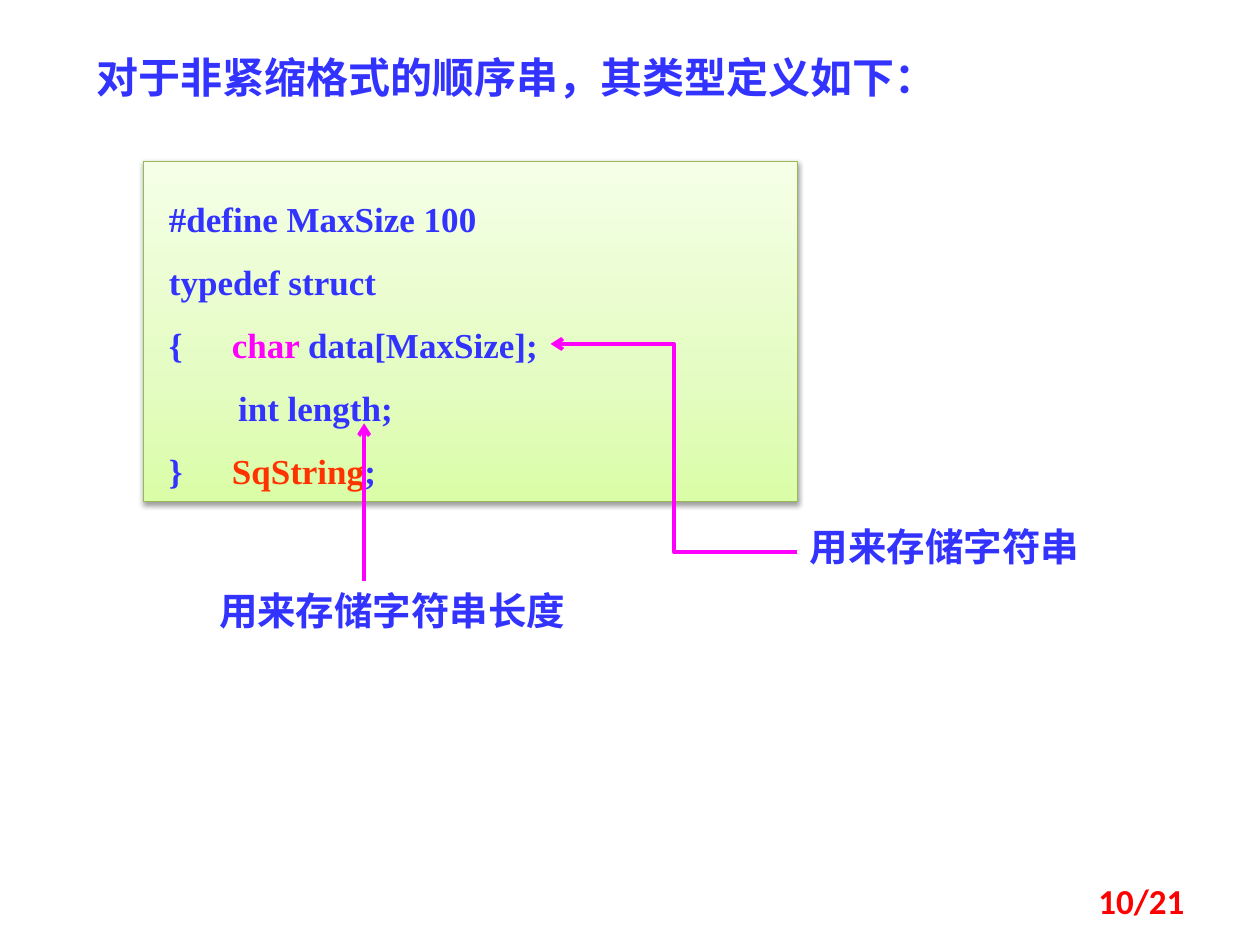
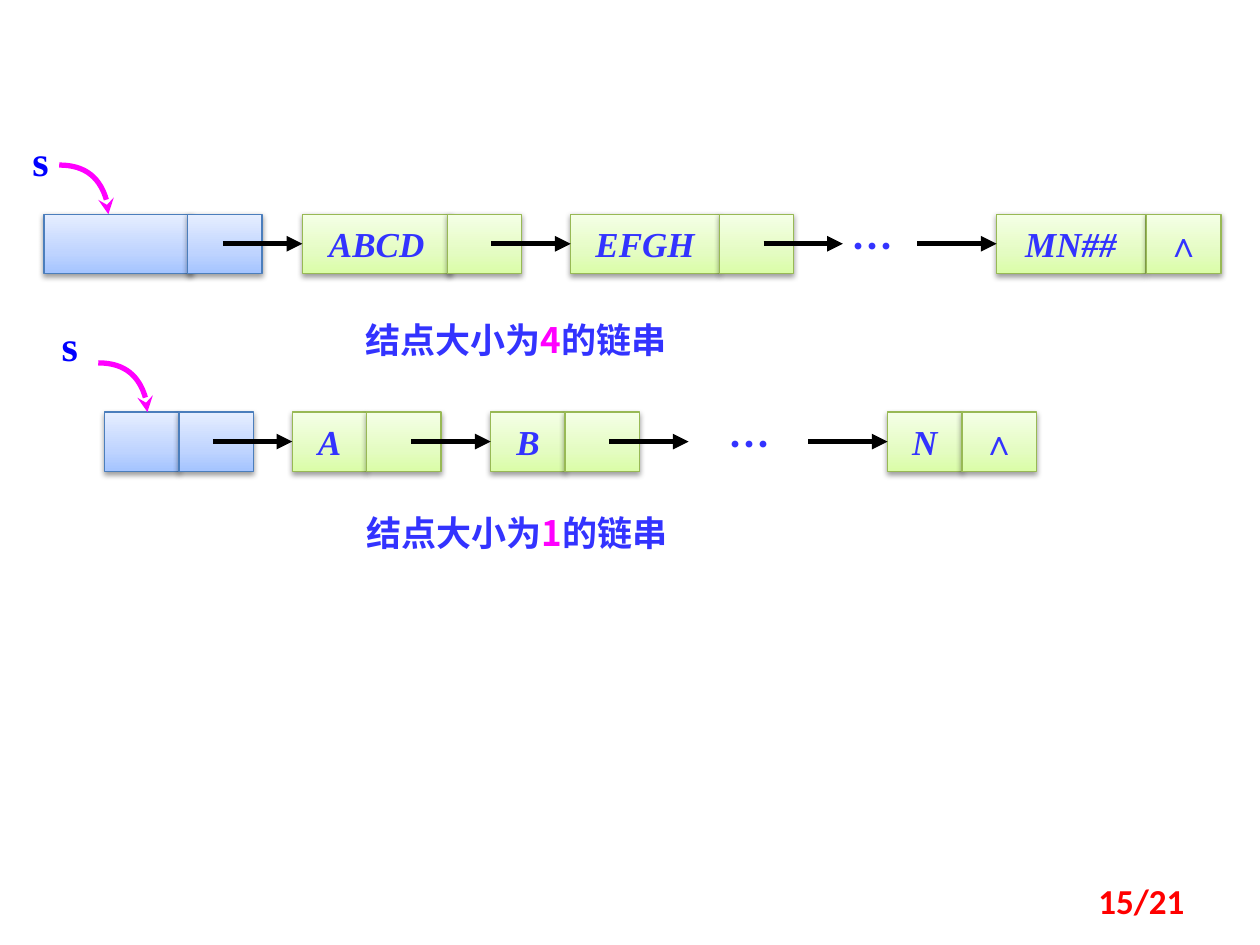
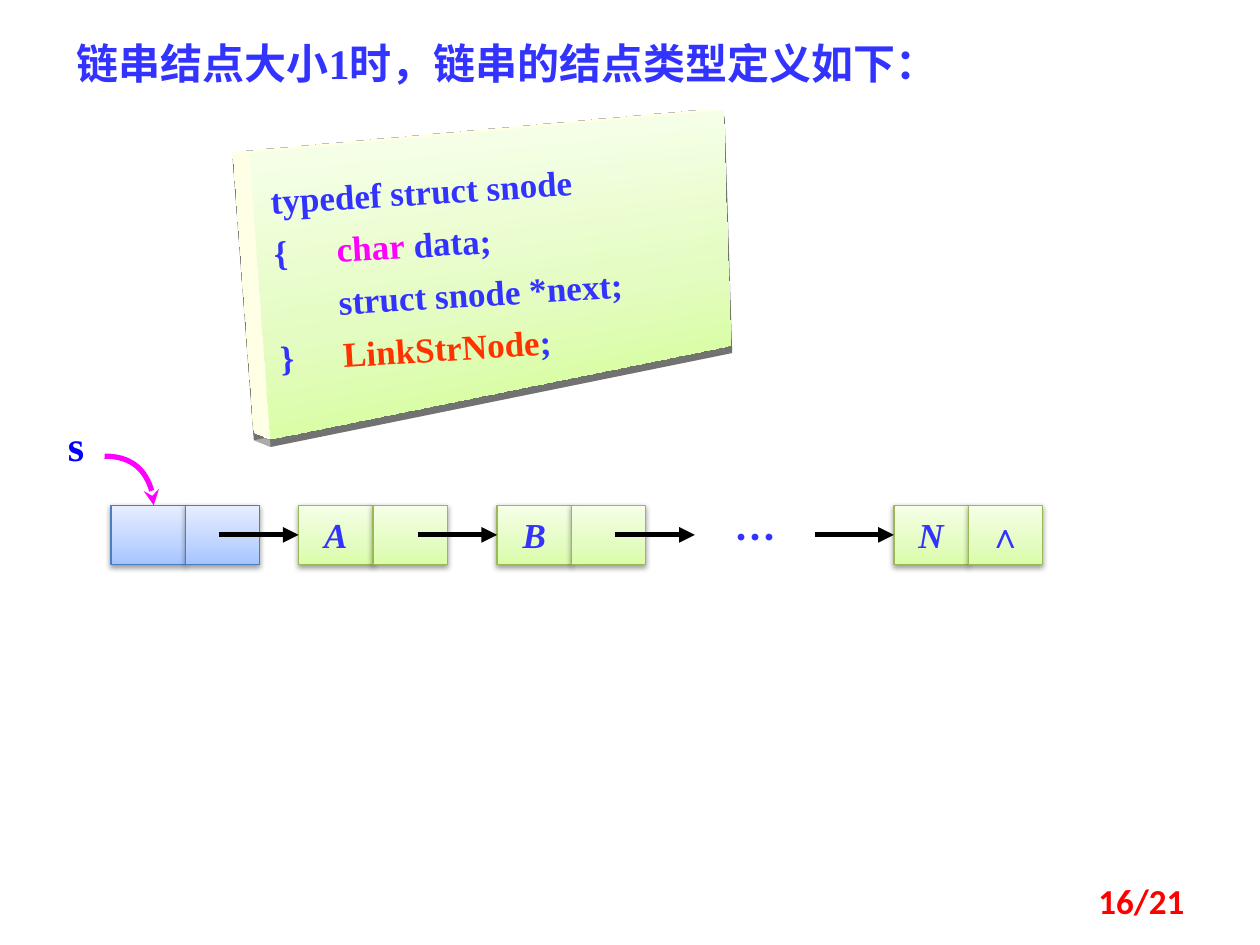
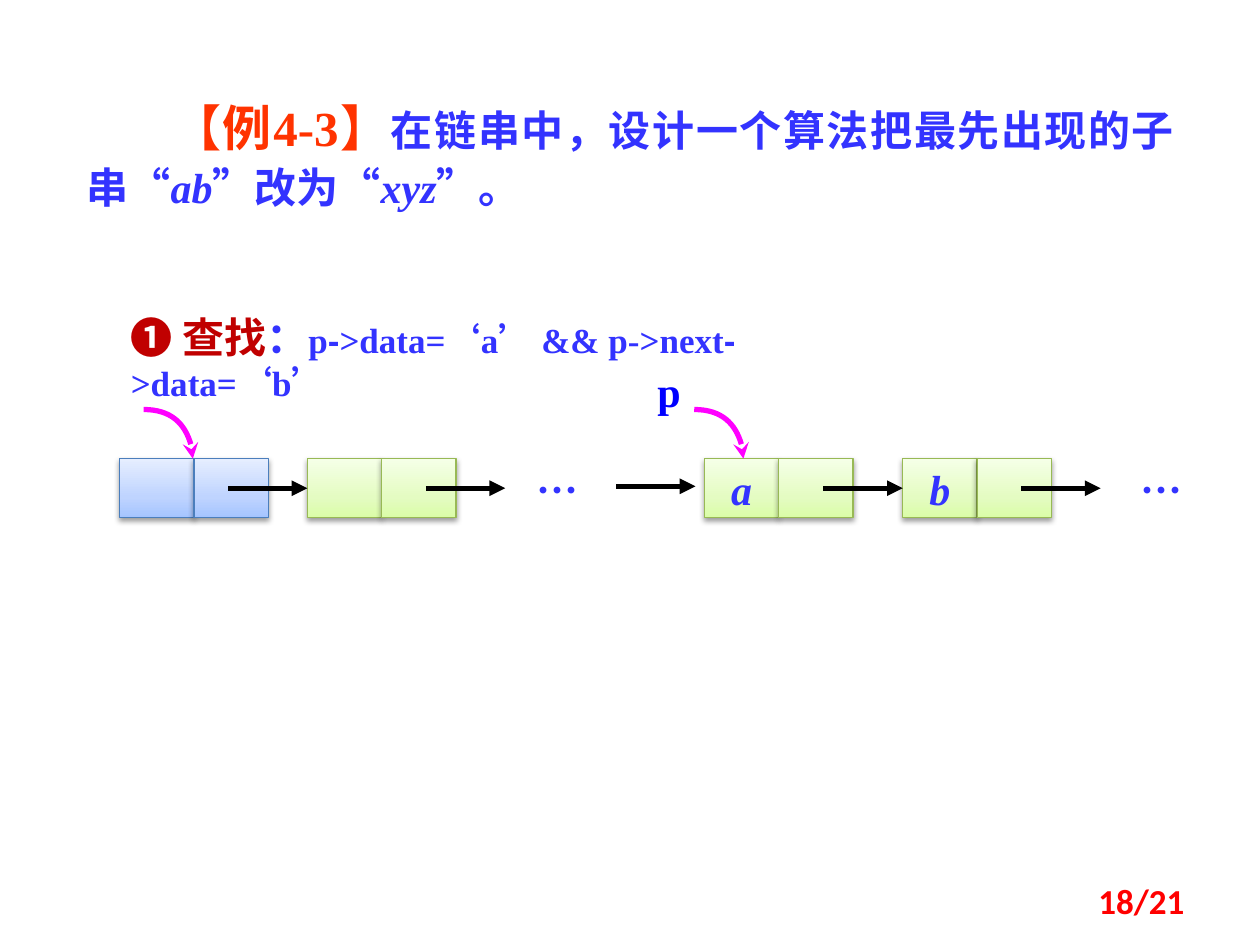
"""Builds four slides on sequential and linked strings."""
from dataclasses import dataclass
from typing import Optional, Sequence, Union

from pptx import Presentation, oxml, util as u
from pptx.dml.color import RGBColor
from pptx.enum import shapes, text
from pptx.oxml import ns

Inches = u.Inches


@dataclass(frozen=True)
class Theme:
    """Colours, fonts and type sizes of the deck."""
    ink: str = "3333FF"
    accent: str = "FF00FF"
    name: str = "FF3300"
    pointer: str = "0000FF"
    step: str = "C00000"
    page: str = "FF0000"
    arrow: str = "000000"
    green: tuple = ("DAFDA7", "E4FCC2", "F5FFE7")
    green_edge: str = "98B955"
    blue: tuple = ("A4C4FF", "BFD4FF", "E6EEFF")
    blue_edge: str = "4B7EBC"
    serif: str = "Times New Roman"
    cjk: str = "Noto Sans CJK SC"
    sans: str = "Arial"
    footer: str = "Calibri"
    body: int = 20
    note: int = 22
    title: int = 24
    example: int = 28


T = Theme()
ALIGN = text.PP_ALIGN
ANCHOR = text.MSO_ANCHOR
CELL_W, CELL_H = 0.59, 0.47
LINK, LINK_START = 0.63, 0.35
HEAD_STEP, NODE_STEP = 1.49, 1.575
HOOK = 0.39


@dataclass(frozen=True)
class Run:
    """A stretch of text in one style."""
    text: str
    color: str = T.ink
    size: int = T.body
    font: str = T.serif
    bold: bool = True
    italic: bool = False


@dataclass(frozen=True)
class Para:
    """A paragraph with its indents and one optional tab stop."""
    runs: Sequence[Run]
    align: Optional[ALIGN] = None
    spacing: Union[float, u.Length, None] = None
    left: float = 0
    first: float = 0
    tab: float = 0


@dataclass(frozen=True)
class Node:
    """A list node: a data cell followed by a link cell."""
    left: float
    data: str = ""
    link: str = ""
    width: float = CELL_W
    span: float = CELL_W
    head: bool = False
    linked: bool = True
    open_end: bool = False
    size: int = T.body


def drawing(tag: str, inner: str = "", attrs: str = ""):
    """Return a DrawingML element."""
    return oxml.parse_xml(f'<a:{tag} {ns.nsdecls("a")} {attrs}>{inner}</a:{tag}>')


def write(tf, paras: Sequence[Para]) -> None:
    """Fill a text frame with paragraphs, run by run."""
    for i, para in enumerate(paras):
        p = tf.paragraphs[0] if i == 0 else tf.add_paragraph()
        p.alignment = para.align or ALIGN.LEFT
        if para.spacing:
            p.line_spacing = para.spacing
        props = p._p.get_or_add_pPr()
        props.set("marL", str(Inches(para.left)))
        props.set("indent", str(Inches(para.first)))
        if para.tab:
            props.append(drawing("tabLst", f'<a:tab pos="{Inches(para.tab)}" algn="l"/>'))
        for run in para.runs:
            r = p.add_run()
            r.text = run.text
            f = r.font
            f.name, f.size = run.font, u.Pt(run.size)
            f.bold, f.italic = run.bold, run.italic
            f.color.rgb = RGBColor.from_string(run.color)
            f._element.append(drawing("ea", attrs=f'typeface="{T.cjk}"'))


def add_text(slide, left: float, top: float, width: float, height: float,
             *paras: Para, grow: bool = True):
    """Add a wrapping text box."""
    sp = slide.shapes.add_textbox(*map(Inches, (left, top, width, height)))
    tf = sp.text_frame
    tf.word_wrap = True
    if grow:
        tf.auto_size = text.MSO_AUTO_SIZE.SHAPE_TO_FIT_TEXT
    write(tf, paras)
    return sp


def add_box(slide, left: float, top: float, width: float, height: float,
            stops: Sequence[str], edge: Optional[str],
            shadow: tuple = (40000, 20000, 5400000, 38000)):
    """Add a rectangle with an upward gradient and a soft shadow."""
    sp = slide.shapes.add_shape(shapes.MSO_SHAPE.RECTANGLE,
                                *map(Inches, (left, top, width, height)))
    sp.fill.background()
    props = sp._element.spPr
    colors = "".join(f'<a:gs pos="{pos}"><a:srgbClr val="{color}"/></a:gs>'
                     for pos, color in zip((0, 35000, 100000), stops))
    props.replace(props.find(ns.qn("a:noFill")),
                  drawing("gradFill", f'<a:gsLst>{colors}</a:gsLst><a:lin ang="16200000"/>'))
    if edge:
        sp.line.color.rgb = RGBColor.from_string(edge)
        sp.line.width = u.Pt(0.75)
    else:
        sp.line.fill.background()
    sp.shadow.inherit = False
    blur, dist, angle, alpha = shadow
    props.find(ns.qn("a:effectLst")).append(drawing(
        "outerShdw", f'<a:srgbClr val="000000"><a:alpha val="{alpha}"/></a:srgbClr>',
        f'blurRad="{blur}" dist="{dist}" dir="{angle}" rotWithShape="0"'))
    return sp


def add_code(sp, insets: Sequence[float], paras: Sequence[Para]) -> None:
    """Write a code listing into a box."""
    tf = sp.text_frame
    tf.margin_left, tf.margin_top, tf.margin_right, tf.margin_bottom = map(Inches, insets)
    tf.word_wrap = True
    tf.vertical_anchor = ANCHOR.TOP
    tf.auto_size = text.MSO_AUTO_SIZE.SHAPE_TO_FIT_TEXT
    write(tf, paras)


def stroke(sp, color: str, width: float, tip: str) -> None:
    """Style a line and put an arrowhead at its end."""
    sp.line.color.rgb = RGBColor.from_string(color)
    sp.line.width = u.Pt(width)
    sp.line._get_or_add_ln().append(drawing("tailEnd", attrs=f'type="{tip}"'))


def add_arrow(slide, start: tuple, end: tuple, color: str = T.arrow, width: float = 3,
              tip: str = "triangle", kind=shapes.MSO_CONNECTOR.STRAIGHT):
    """Add a connector with an arrowhead and no shadow."""
    c = slide.shapes.add_connector(kind, *map(Inches, start + end))
    stroke(c, color, width, tip)
    c._element.spPr.append(drawing("effectLst"))
    return c


def add_hook(slide, left: float, node_top: float) -> None:
    """Add a curved pointer that ends on top of a node."""
    top, bend = node_top - HOOK, 0.22
    points = [(left + bend, top), (left + HOOK, top + HOOK - bend), (left + HOOK, node_top)]
    builder = slide.shapes.build_freeform(Inches(left), Inches(top))
    builder.add_line_segments([tuple(map(Inches, pt)) for pt in points], close=False)
    sp = builder.convert_to_shape()
    outline = next(sp._element.iter(ns.qn("a:path")))
    curve = drawing("cubicBezTo")
    for segment in outline.findall(ns.qn("a:lnTo")):
        curve.append(segment[0])
        outline.remove(segment)
    outline.append(curve)
    sp.fill.background()
    stroke(sp, T.accent, 3, "stealth")
    sp.shadow.inherit = False


def add_pointer(slide, name: str, left: float, top: float) -> None:
    """Label a pointer variable."""
    add_text(slide, left, top, 0.47, 0.5, Para([Run(name, T.pointer, T.title)]))


def add_dots(slide, left: float, top: float, width: float = 0.63) -> None:
    """Add the ellipsis that stands for omitted nodes."""
    add_text(slide, left, top, width, 0.5,
             Para([Run("…", size=T.title, font=T.cjk)], ALIGN.CENTER))


def add_list(slide, top: float, nodes: Sequence[Node]) -> None:
    """Draw linked nodes, then the arrows between them."""
    mid = top + CELL_H / 2
    data_cells = []
    for node in nodes:
        stops, edge = (T.blue, T.blue_edge) if node.head else (T.green, T.green_edge)
        cells = ((node.left, node.width, node.data, True),
                 (node.left + node.span, CELL_W, node.link, False))
        for left, width, label, italic in cells:
            sp = add_box(slide, left, top, width, CELL_H, stops, edge)
            if italic:
                data_cells.append(sp)
            if label:
                tf = sp.text_frame
                tf.word_wrap = False
                tf.vertical_anchor = ANCHOR.MIDDLE
                write(tf, [Para([Run(label, size=node.size, italic=italic)], ALIGN.CENTER)])
    for node, sp in zip(nodes, data_cells):
        if node.linked and not node.head:
            add_arrow(slide, (node.left - LINK, mid), (node.left, mid)).end_connect(sp, 1)
        if node.open_end:
            start = node.left + node.span + LINK_START
            add_arrow(slide, (start, mid), (start + LINK, mid))


def slot(start: float, k: int) -> float:
    """Return the left edge of the k-th node after the head."""
    return start + HEAD_STEP + NODE_STEP * k


def add_single_list(slide, start: float, top: float) -> None:
    """Draw the list with one character per node."""
    add_list(slide, top, [Node(start, head=True), Node(slot(start, 0), "A"),
                          Node(slot(start, 1), "B", open_end=True),
                          Node(slot(start, 3), "N", "∧")])
    add_dots(slide, start + 4.8, top)
    add_hook(slide, start - 0.05, top)


def add_caption(slide, left: float, top: float, width: float, count: str) -> None:
    """State the node size of a list."""
    runs = [Run("结点大小为", font=T.cjk), Run(count, T.accent, font=T.cjk),
            Run("的链串", font=T.cjk)]
    add_text(slide, left, top, width, 0.44, Para(runs))


def new_slide(prs, number: int):
    """Add a blank slide with its page number."""
    slide = prs.slides.add_slide(prs.slide_layouts[6])
    page = Run(f"{number}/21", T.page, font=T.footer)
    sp = add_text(slide, 7.17, 6.95, 2.33, 0.4, Para([page], ALIGN.RIGHT), grow=False)
    sp.text_frame.vertical_anchor = ANCHOR.MIDDLE
    return slide


def sequential_type(prs) -> None:
    """Slide on the sequential string type."""
    slide = new_slide(prs, 10)
    add_text(slide, 0.67, 0.36, 8.46, 0.5, Para(
        [Run("对于非紧缩格式的顺序串，其类型定义如下：", size=T.title)], ALIGN.JUSTIFY))
    box = add_box(slide, 1.14, 1.28, 5.19, 2.7, T.green, T.green_edge)
    add_code(box, (0.2, 0.12, 0.2, 0.12), [
        Para([Run("#define MaxSize 100")], spacing=1.5),
        Para([Run("typedef struct")], spacing=1.5),
        Para([Run("{\t"), Run("char ", T.accent), Run("data[MaxSize];")],
             spacing=1.5, tab=0.53),
        Para([Run("int length;")], spacing=1.5, left=0.55),
        Para([Run("}\t"), Run("SqString", T.name), Run(";")], spacing=1.5, tab=0.25)])
    add_arrow(slide, (6.33, 4.38), (4.37, 2.73), T.accent, 2.25, "arrow",
              shapes.MSO_CONNECTOR.ELBOW)
    for left, top, width, note in ((6.33, 4.1, 2.58, "用来存储字符串"),
                                   (1.64, 4.61, 3.52, "用来存储字符串长度")):
        add_text(slide, left, top, width, 0.47, Para([Run(note, size=T.note)]))
    add_arrow(slide, (2.89, 4.61), (2.89, 3.36), T.accent, 2.25, "arrow")


def node_sizes(prs) -> None:
    """Slide comparing node sizes four and one."""
    slide = new_slide(prs, 15)
    top, wide = 1.7, 1.18
    add_list(slide, top, [
        Node(0.35, width=wide, span=1.14, head=True),
        Node(2.4, "ABCD", width=wide, span=1.15),
        Node(4.53, "EFGH", width=wide, span=wide, open_end=True),
        Node(7.91, "MN##", "∧", width=wide, span=1.19)])
    add_dots(slide, 6.57, top, 0.71)
    add_hook(slide, 0.47, top)
    add_pointer(slide, "s", 0.16, 1.02)
    add_caption(slide, 2.8, 2.48, 3.23, "4")
    add_single_list(slide, 0.83, 3.27)
    add_pointer(slide, "s", 0.39, 2.49)
    add_caption(slide, 2.81, 4.01, 2.83, "1")


def tilt(sp) -> None:
    """Turn a box into a thick plate seen in perspective."""
    props = sp._element.spPr
    props.append(drawing("scene3d", (
        '<a:camera prst="perspectiveFront" fov="3300000">'
        '<a:rot lat="486000" lon="19530000" rev="174000"/></a:camera>'
        '<a:lightRig rig="harsh" dir="t"><a:rot lat="0" lon="0" rev="3000000"/></a:lightRig>')))
    props.append(drawing("sp3d", (
        '<a:bevelT w="82550" h="44450" prst="angle"/>'
        '<a:bevelB w="82550" h="44450" prst="angle"/>'
        '<a:contourClr><a:srgbClr val="FFFFFF"/></a:contourClr>'),
        'extrusionH="254000" contourW="19050"'))


def linked_type(prs) -> None:
    """Slide on the linked string node type."""
    slide = new_slide(prs, 16)
    add_text(slide, 0.51, 0.21, 8.92, 0.55, Para(
        [Run("链串结点大小1时，链串的结点类型定义如下：", size=T.title)], ALIGN.JUSTIFY, 1.1))
    box = add_box(slide, 1.87, 1.02, 4.49, 2.08, T.green, None,
                  (225425, 50800, 5220000, 33000))
    tilt(box)
    pitch = u.Pt(30)
    add_code(box, (0.31, 0.2, 0.1, 0.2), [
        Para([Run("typedef struct snode")], spacing=pitch),
        Para([Run("{\t"), Run("char", T.accent), Run(" data;")], spacing=pitch, tab=0.53),
        Para([Run("struct snode *next;")], spacing=pitch, left=0.49),
        Para([Run("}\t"), Run("LinkStrNode", T.name), Run(";")], spacing=pitch, tab=0.25)])
    add_single_list(slide, 0.88, 4.01)
    add_pointer(slide, "s", 0.44, 3.28)


def replace_example(prs) -> None:
    """Slide on finding a substring in a linked string."""
    slide = new_slide(prs, 18)
    title = T.title
    add_text(slide, 0.59, 0.68, 8.83, 1.06, Para([
        Run("【", T.name, T.example, T.cjk), Run("例4-3", T.name, T.example),
        Run("】", T.name, T.example, T.cjk),
        Run("在链串中，设计一个算法把最先出现的子串“", size=title),
        Run("ab", size=title, italic=True), Run("”改为“", size=title),
        Run("xyz", size=title, italic=True), Run("”。", size=title)],
        ALIGN.JUSTIFY, 1.1, first=0.68))
    start, top = 0.95, 3.64
    add_list(slide, top, [
        Node(start, head=True), Node(slot(start, 0), open_end=True),
        Node(slot(start, 2), "a", linked=False, size=title),
        Node(slot(start, 3), "b", open_end=True, size=title)])
    add_arrow(slide, (4.89, 3.86), (4.89 + LINK, 3.86))
    for left in (4.11, 8.9):
        add_dots(slide, left, top)
    for left in (1.14, 5.51):
        add_hook(slide, left, top)
    add_pointer(slide, "p", 5.12, 2.85)
    add_text(slide, 0.94, 2.42, 5.94, 0.5, Para([
        Run("❶ 查找", T.step, title, T.cjk), Run("：", size=title), Run("p"),
        Run("-", font=T.sans), Run(">data=‘a’ && p->next"),
        Run("-", font=T.sans), Run(">data=‘b’")]))


def main() -> None:
    """Build and save the deck."""
    prs = Presentation()
    prs.slide_width, prs.slide_height = Inches(10), Inches(7.5)
    for build in (sequential_type, node_sizes, linked_type, replace_example):
        build(prs)
    prs.save("out.pptx")


if __name__ == "__main__":
    main()
